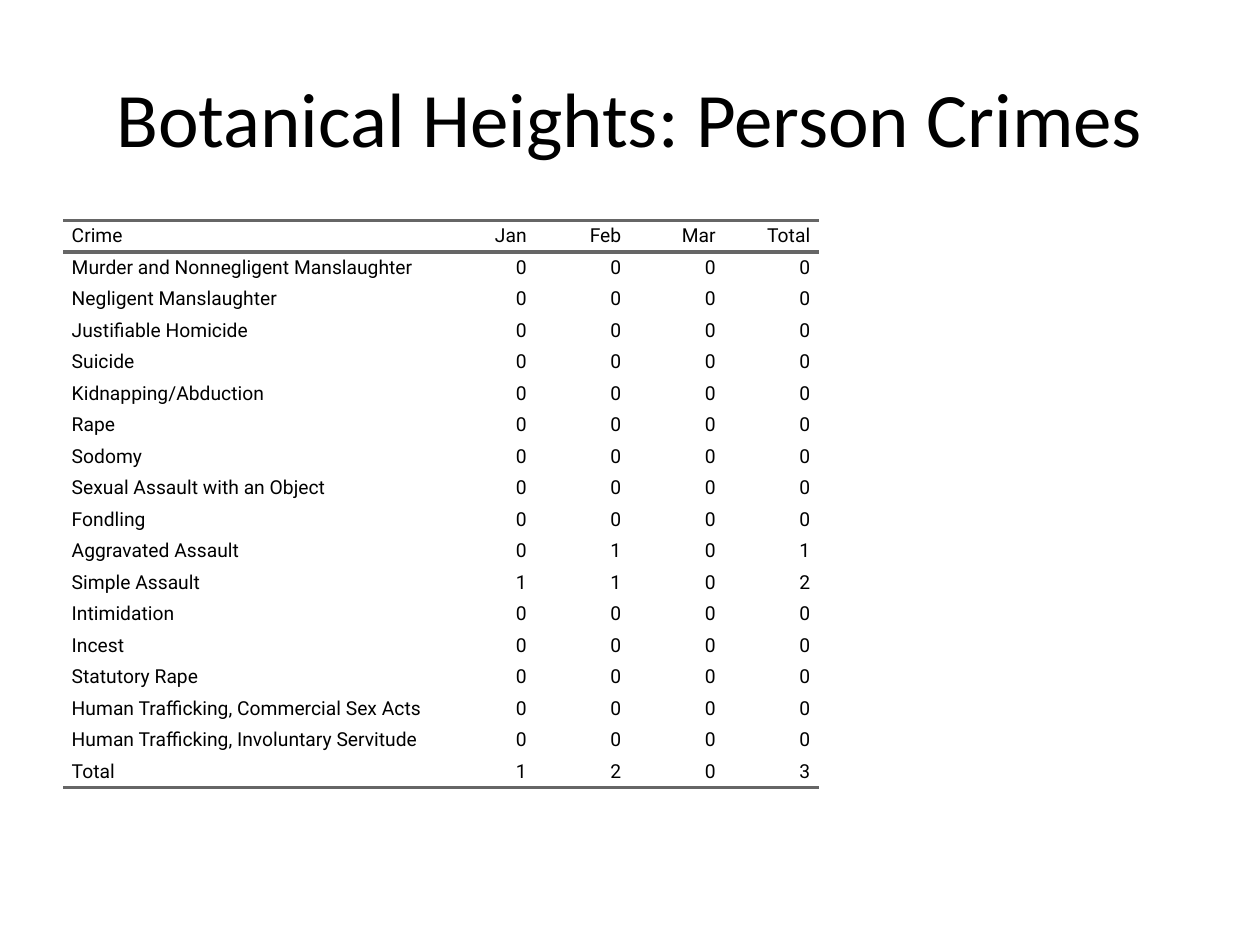
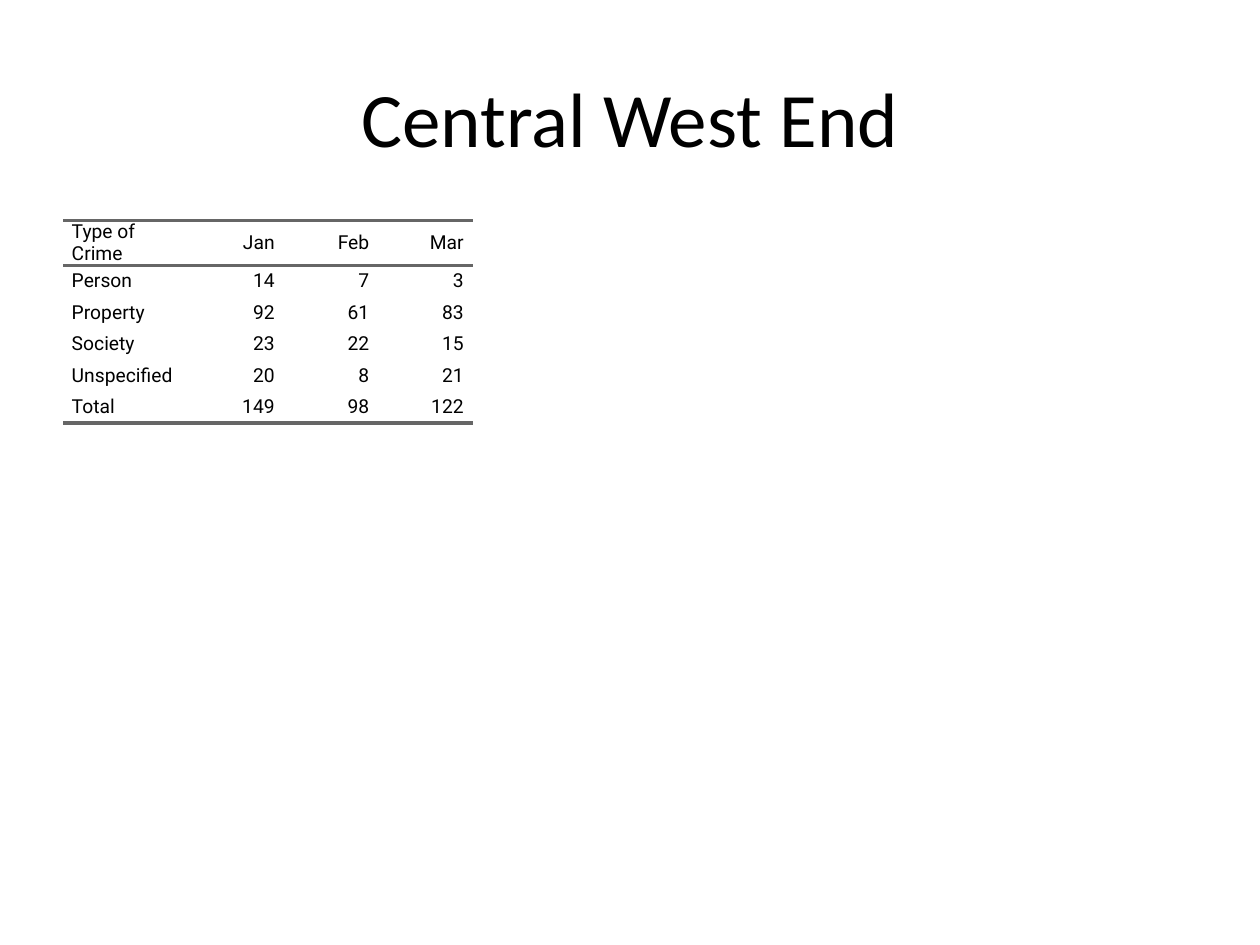
from lxml import etree
from pptx import Presentation
from pptx import util as u
from pptx.dml import color
from pptx.enum import text
from pptx.oxml import ns

BLACK = "000000"
RULE = "666666"
NO_STYLE = "{2D5ABB26-0587-4C30-8999-92F81FD0307C}"
MONTHS = ["Jan", "Feb", "Mar"]


def rgb(hex_color):
    return color.RGBColor.from_string(hex_color)


def add_border(cell, side):
    tc_pr = cell._tc.get_or_add_tcPr()
    ln = etree.SubElement(tc_pr, ns.qn(f"a:{side}"), w=str(u.Pt(2)))
    fill = etree.SubElement(ln, ns.qn("a:solidFill"))
    etree.SubElement(fill, ns.qn("a:srgbClr"), val=RULE)


person_crimes = [
    "Murder and Nonnegligent Manslaughter", "Negligent Manslaughter",
    "Justifiable Homicide", "Suicide", "Kidnapping/Abduction", "Rape",
    "Sodomy", "Sexual Assault with an Object", "Fondling",
    "Aggravated Assault", "Simple Assault", "Intimidation", "Incest",
    "Statutory Rape", "Human Trafficking, Commercial Sex Acts",
    "Human Trafficking, Involuntary Servitude",
]
reported = {"Aggravated Assault": [0, 1, 0], "Simple Assault": [1, 1, 0]}
person_rows = []
for crime in person_crimes:
    counts = reported.get(crime, [0, 0, 0])
    person_rows.append([crime, *counts, sum(counts)])

type_rows = [
    ["Person", 14, 7, 3],
    ["Property", 92, 61, 83],
    ["Society", 23, 22, 15],
    ["Unspecified", 20, 8, 21],
]

pages = [
    ("Botanical Heights: Person Crimes", 3, ["Crime", *MONTHS, "Total"], person_rows),
    ("Central West End", 1, ["Type of Crime", *MONTHS], type_rows),
]

prs = Presentation()
prs.slide_width = u.Inches(10)
prs.slide_height = u.Inches(7.5)

for title, label_width, header, body in pages:
    s = prs.slides.add_slide(prs.slide_layouts[5])
    sp = s.shapes.title
    sp.left, sp.top = u.Inches(0.5), u.Inches(0.3)
    sp.width, sp.height = u.Inches(9), u.Inches(1.25)
    tf = sp.text_frame
    tf.text = title
    tf.vertical_anchor = text.MSO_ANCHOR.MIDDLE
    p = tf.paragraphs[0]
    p.alignment = text.PP_ALIGN.CENTER
    p.font.name, p.font.size = "Calibri", u.Pt(44)
    p.font.color.rgb = rgb(BLACK)

    totals = [sum(column) for column in list(zip(*body))[1:]]
    rows = [header, *body, ["Total", *totals]]
    frame = s.shapes.add_table(len(rows), len(header), u.Inches(0.5), u.Inches(1.75),
                               u.Inches(9), u.Inches(4.95))
    table = frame.table
    table.first_row = table.horz_banding = False
    table._tbl.tblPr.find(ns.qn("a:tableStyleId")).text = NO_STYLE
    for i, column in enumerate(table.columns):
        column.width = u.Inches(0.75 if i else label_width)

    for i, values in enumerate(rows):
        table.rows[i].height = u.Inches(0.25)
        for j, value in enumerate(values):
            cell = table.cell(i, j)
            cell.margin_left = cell.margin_right = 0
            cell.margin_top = cell.margin_bottom = 0
            cell.vertical_anchor = text.MSO_ANCHOR.MIDDLE
            if i == 0:
                add_border(cell, "lnT")
            if i in (0, len(rows) - 1):
                add_border(cell, "lnB")
            cell.fill.background()
            cell.text = str(value)
            p = cell.text_frame.paragraphs[0]
            p.alignment = text.PP_ALIGN.RIGHT if j else text.PP_ALIGN.LEFT
            p_pr = p._p.get_or_add_pPr()
            for side in ("marL", "marR"):
                p_pr.set(side, str(u.Pt(5)))
            p.font.name, p.font.size = "Roboto", u.Pt(11)
            p.font.color.rgb = rgb(BLACK)
    frame.width, frame.height = u.Inches(9), u.Inches(4.95)

prs.save("out.pptx")
